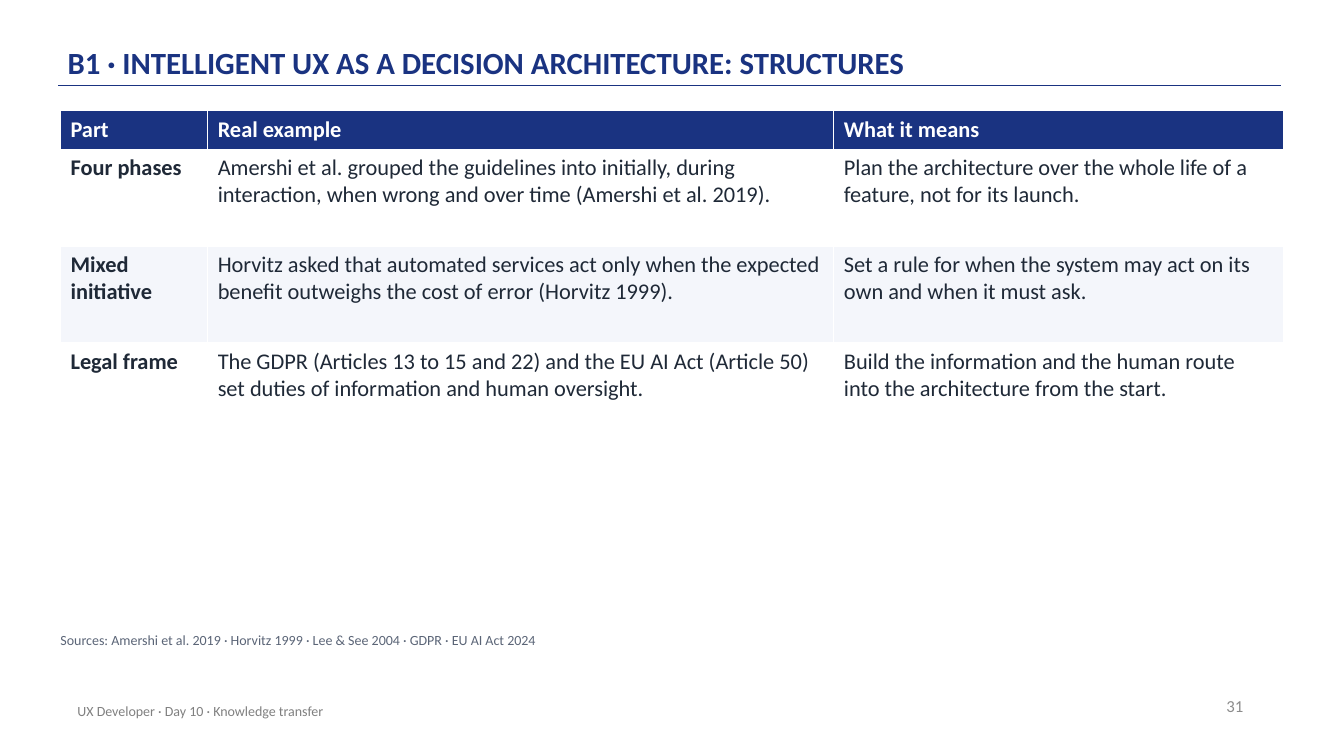
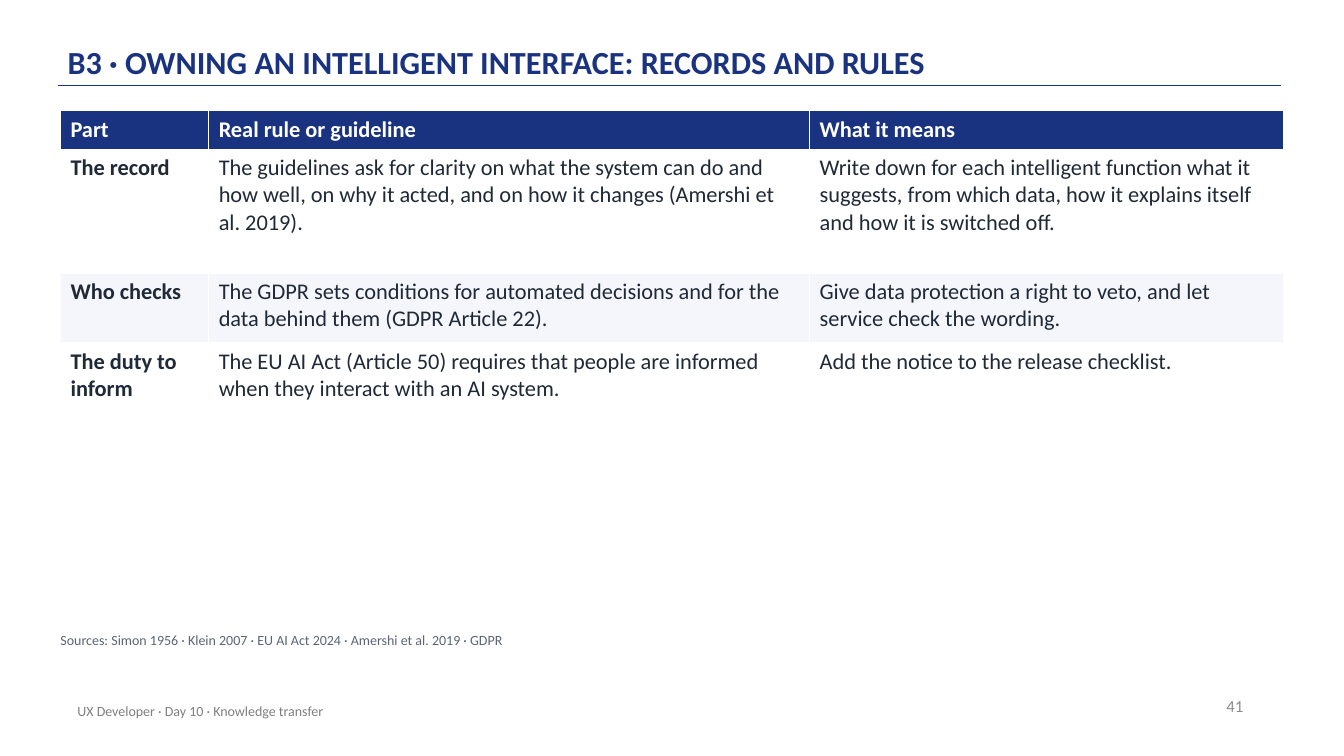
from lxml.etree import SubElement
from pptx import Presentation
from pptx.dml.color import RGBColor
from pptx.enum.shapes import MSO_CONNECTOR
from pptx.enum.text import MSO_ANCHOR, MSO_AUTO_SIZE, PP_ALIGN
from pptx.oxml.ns import qn
from pptx.util import Pt

PX = 9144  # 100 px to the inch
FONT = "Calibri"
NAVY, INK, WHITE, BAND = "1A3381", "1F2937", "FFFFFF", "F4F6FB"
SOURCE_GREY, FOOTER_GREY, NUMBER_GREY = "5B6577", "808080", "8C8C8C"

FOOTER = "UX Developer · Day 10 · Knowledge transfer"
TABLE_LEFT, TABLE_TOP, TABLE_WIDTH = 60, 110, 1213

SLIDES = [
    {
        "number": 31,
        "title": "B1 · INTELLIGENT UX AS A DECISION ARCHITECTURE: STRUCTURES",
        "title_size": 22,
        "columns": (146, 621),
        "rows": (38, 96, 96, 96),
        "table": [
            ("Part", "Real example", "What it means"),
            ("Four phases",
             "Amershi et al. grouped the guidelines into initially, during interaction, "
             "when wrong and over time (Amershi et al. 2019).",
             "Plan the architecture over the whole life of a feature, not for its launch."),
            ("Mixed initiative",
             "Horvitz asked that automated services act only when the expected benefit "
             "outweighs the cost of error (Horvitz 1999).",
             "Set a rule for when the system may act on its own and when it must ask."),
            ("Legal frame",
             "The GDPR (Articles 13 to 15 and 22) and the EU AI Act (Article 50) set "
             "duties of information and human oversight.",
             "Build the information and the human route into the architecture from the start."),
        ],
        "sources": "Sources: Amershi et al. 2019 · Horvitz 1999 · Lee & See 2004 · GDPR · EU AI Act 2024",
    },
    {
        "number": 41,
        "title": "B3 · OWNING AN INTELLIGENT INTERFACE: RECORDS AND RULES",
        "title_size": 23,
        "columns": (147, 596),
        "rows": (38, 123, 69, 69),
        "table": [
            ("Part", "Real rule or guideline", "What it means"),
            ("The record",
             "The guidelines ask for clarity on what the system can do and how well, "
             "on why it acted, and on how it changes (Amershi et al. 2019).",
             "Write down for each intelligent function what it suggests, from which data, "
             "how it explains itself and how it is switched off."),
            ("Who checks",
             "The GDPR sets conditions for automated decisions and for the data behind "
             "them (GDPR Article 22).",
             "Give data protection a right to veto, and let service check the wording."),
            ("The duty to inform",
             "The EU AI Act (Article 50) requires that people are informed when they "
             "interact with an AI system.",
             "Add the notice to the release checklist."),
        ],
        "sources": "Sources: Simon 1956 · Klein 2007 · EU AI Act 2024 · Amershi et al. 2019 · GDPR",
    },
]


def color(value):
    return RGBColor.from_string(value)


def px(*lengths):
    return [length * PX for length in lengths]


def style(paragraph, size, value, bold=False):
    font = paragraph.font
    font.name, font.size, font.bold = FONT, Pt(size), bold
    font.color.rgb = color(value)


def set_margins(frame, left, top, right, bottom):
    frame.margin_left, frame.margin_top, frame.margin_right, frame.margin_bottom = px(
        left, top, right, bottom)


def add_text(slide, box, text, size, value, align=PP_ALIGN.LEFT):
    frame = slide.shapes.add_textbox(*px(*box)).text_frame
    frame.word_wrap = True
    frame.vertical_anchor = MSO_ANCHOR.MIDDLE
    paragraph = frame.paragraphs[0]
    paragraph.text, paragraph.alignment = text, align
    style(paragraph, size, value)
    return frame


def prepare_layout(layout):
    title = layout.placeholders[0]
    title.left, title.top, title.width, title.height = px(67, 12, 1100, 72)


def add_title(slide, text, size):
    frame = slide.shapes.title.text_frame
    frame.text = text
    frame.auto_size = MSO_AUTO_SIZE.NONE
    frame.vertical_anchor = MSO_ANCHOR.BOTTOM
    set_margins(frame, 0, 3, 0, 3)
    paragraph = frame.paragraphs[0]
    paragraph.alignment, paragraph.line_spacing = PP_ALIGN.LEFT, 0.9
    style(paragraph, size, NAVY, bold=True)


def add_title_rule(slide):
    rule = slide.shapes.add_connector(MSO_CONNECTOR.STRAIGHT, *px(58, 85, 1271, 85))
    rule.line.color.rgb = color(NAVY)
    rule.line.width = Pt(1)
    SubElement(rule.element.spPr, qn("a:effectLst"))


def add_table(slide, rows, columns, heights):
    """Fill the table; its last column takes the width that is left."""
    widths = (*columns, TABLE_WIDTH - sum(columns))
    table = slide.shapes.add_table(
        len(rows), len(widths),
        *px(TABLE_LEFT, TABLE_TOP, TABLE_WIDTH, sum(heights))).table
    for column, width in zip(table.columns, widths):
        column.width = width * PX
    for row_index, (row, height, texts) in enumerate(zip(table.rows, heights, rows)):
        row.height = height * PX
        header = row_index == 0
        fill = NAVY if header else (BAND if row_index % 2 == 0 else WHITE)
        for column_index, (cell, text) in enumerate(zip(row.cells, texts)):
            cell.text = text
            cell.fill.solid()
            cell.fill.fore_color.rgb = color(fill)
            style(cell.text_frame.paragraphs[0], 16, WHITE if header else INK,
                  bold=header or column_index == 0)


def add_sources(slide, text):
    frame = add_text(slide, (60, 627, 1210, 30), text, 10, SOURCE_GREY)
    frame.vertical_anchor = MSO_ANCHOR.TOP
    frame.auto_size = MSO_AUTO_SIZE.SHAPE_TO_FIT_TEXT
    set_margins(frame, 0, 0, 0, 0)
    frame.paragraphs[0].space_after = Pt(6)


def build_slide(presentation, layout, content):
    slide = presentation.slides.add_slide(layout)
    add_title_rule(slide)
    add_title(slide, content["title"], content["title_size"])
    add_text(slide, (943, 680, 300, 40), str(content["number"]), 12, NUMBER_GREY,
             PP_ALIGN.RIGHT)
    add_text(slide, (67, 685, 670, 40), FOOTER, 10, FOOTER_GREY)
    add_table(slide, content["table"], content["columns"], content["rows"])
    add_sources(slide, content["sources"])


def main():
    presentation = Presentation()
    presentation.slide_width, presentation.slide_height = px(1333, 750)
    layout = presentation.slide_layouts.get_by_name("Title Only")
    prepare_layout(layout)
    for content in SLIDES:
        build_slide(presentation, layout, content)
    presentation.save("out.pptx")


if __name__ == "__main__":
    main()
